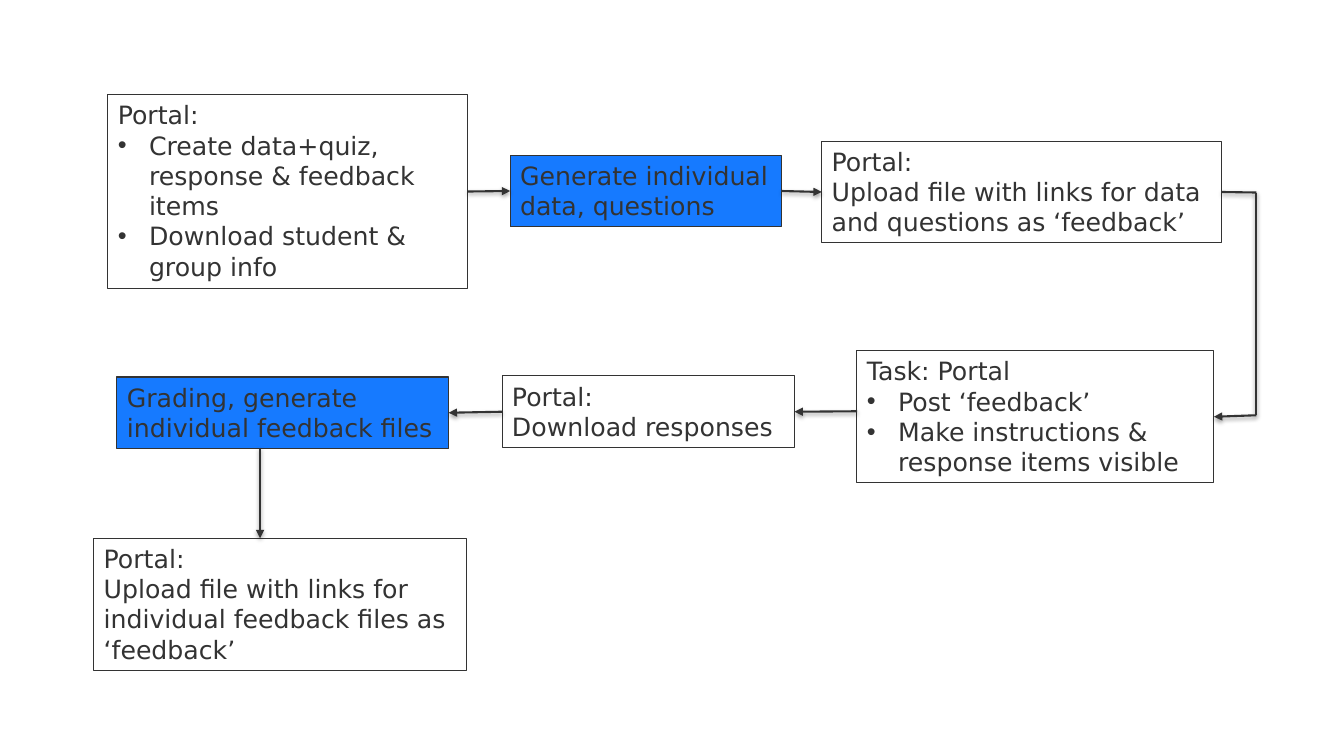
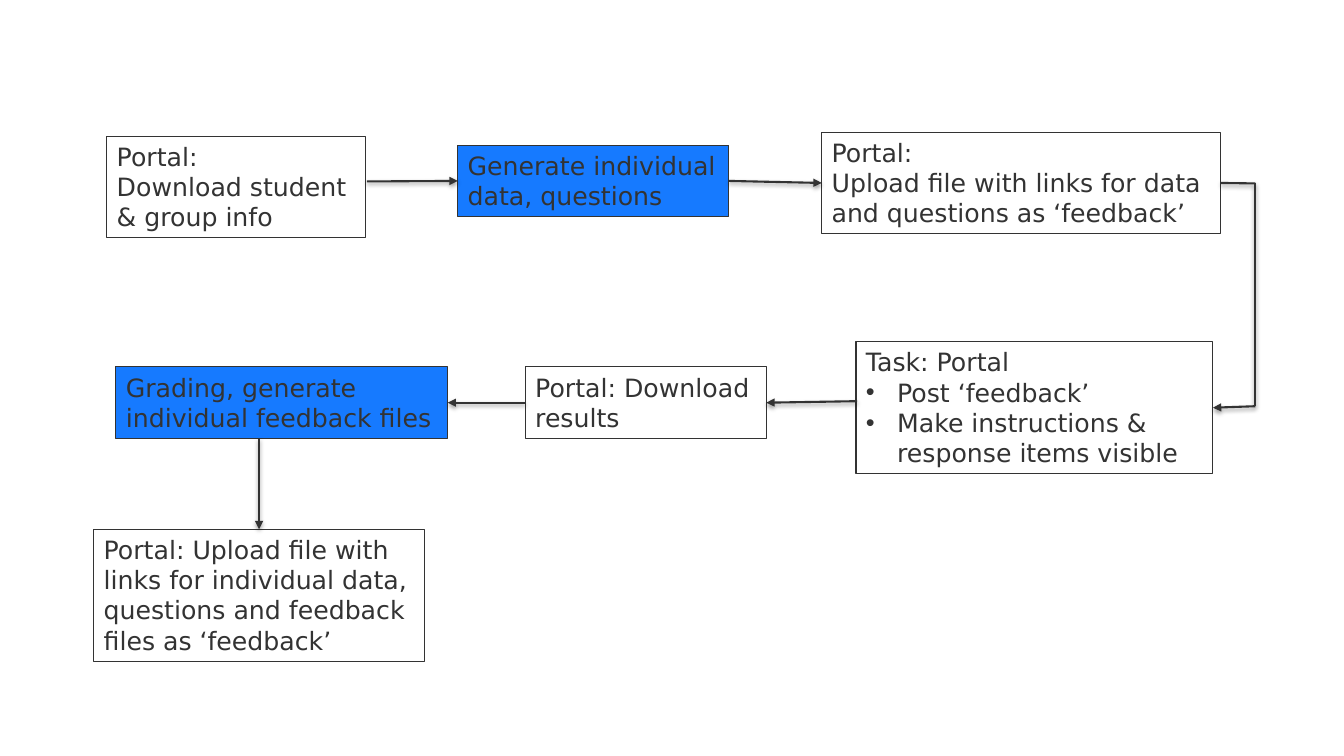
"""Build two flow charts of the quiz and feedback workflow."""
from lxml import etree
from pptx import Presentation
from pptx.dml.color import RGBColor
from pptx.enum.shapes import MSO_CONNECTOR
from pptx.enum.text import MSO_ANCHOR, MSO_AUTO_SIZE
from pptx.oxml import parse_xml
from pptx.oxml.ns import nsdecls, qn
from pptx.util import Inches, Pt

STRAIGHT = MSO_CONNECTOR.STRAIGHT
TOP = MSO_ANCHOR.TOP
GROW = MSO_AUTO_SIZE.SHAPE_TO_FIT_TEXT
LEFT, RIGHT = 1, 3


class Theme:
    font = "DejaVu Sans"
    size = Pt(18)
    ink = RGBColor(0x33, 0x33, 0x33)
    accent = RGBColor(0x16, 0x7A, 0xFF)
    border = Pt(0.75)
    arrow = Pt(1.5)
    indent = Inches(0.31)
    shadow = (
        f'<a:effectLst {nsdecls("a")}>'
        '<a:outerShdw blurRad="39370" dist="20320" dir="5400000" rotWithShape="0">'
        '<a:srgbClr val="000000"><a:alpha val="38000"/></a:srgbClr>'
        '</a:outerShdw></a:effectLst>'
    )


def add_box(s, left, top, width, height, lines, filled):
    box = s.shapes.add_textbox(Inches(left), Inches(top), Inches(width), Inches(height))
    box.line.color.rgb = Theme.ink
    box.line.width = Theme.border
    if filled:
        box.fill.solid()
        box.fill.fore_color.rgb = Theme.accent
    tf = box.text_frame
    tf.word_wrap = True
    tf.auto_size = GROW
    tf.vertical_anchor = TOP
    for i, line in enumerate(lines):
        p = tf.paragraphs[0] if i == 0 else tf.add_paragraph()
        if line.startswith("•"):
            pPr = p._p.get_or_add_pPr()
            pPr.set("marL", str(Theme.indent))
            pPr.set("indent", str(-Theme.indent))
            etree.SubElement(pPr, qn("a:buFont")).set("typeface", "Arial")
            etree.SubElement(pPr, qn("a:buChar")).set("char", "•")
        r = p.add_run()
        r.text = line.lstrip("• ")
        r.font.name = Theme.font
        r.font.size = Theme.size
        r.font.color.rgb = Theme.ink
    return box


def add_line(s, boxes, start, end, arrow=True):
    free = [(0, 0) if isinstance(point[0], str) else point for point in (start, end)]
    line = s.shapes.add_connector(STRAIGHT, *[Inches(v) for point in free for v in point])
    if isinstance(start[0], str):
        line.begin_connect(boxes[start[0]], start[1])
    if isinstance(end[0], str):
        line.end_connect(boxes[end[0]], end[1])
    line.line.color.rgb = Theme.ink
    line.line.width = Theme.arrow
    if arrow:
        etree.SubElement(line.line._get_or_add_ln(), qn("a:tailEnd")).set("type", "triangle")
    line._element.spPr.append(parse_xml(Theme.shadow))


generate_text = ["Generate individual data, questions"]
links_text = ["Portal:", "Upload file with links for data and questions as ‘feedback’"]
task_text = ["Task: Portal", "• Post ‘feedback’", "• Make instructions & response items visible"]
grading_text = ["Grading, generate individual feedback files"]
filled_steps = {"generate", "grading"}

flows = [
    {
        "boxes": {
            "prepare": (1.07, 0.94, 3.57, 1.92, [
                "Portal:",
                "• Create data+quiz, response & feedback items",
                "• Download student & group info",
            ]),
            "generate": (5.06, 1.54, 2.69, 0.71, generate_text),
            "links": (8.15, 1.4, 3.97, 1.01, links_text),
            "task": (8.5, 3.48, 3.54, 1.31, task_text),
            "download": (4.98, 3.73, 2.9, 0.71, ["Portal:", "Download responses"]),
            "grading": (1.16, 3.74, 3.29, 0.71, grading_text),
            "feedback": (0.93, 5.34, 3.7, 1.31, [
                "Portal:",
                "Upload file with links for individual feedback files as ‘feedback’",
            ]),
        },
        "arrows": [
            (("prepare", RIGHT), ("generate", LEFT)),
            ((8.5, 4.08), ("download", RIGHT)),
            ((2.58, 4.44), (2.58, 5.34)),
        ],
        "turn": [(12.46, 1.91), (12.46, 4.12)],
    },
    {
        "boxes": {
            "prepare": (1.06, 1.35, 2.57, 1.01, ["Portal:", "Download student & group info"]),
            "generate": (4.54, 1.44, 2.69, 0.71, generate_text),
            "links": (8.15, 1.31, 3.96, 1.01, links_text),
            "task": (8.49, 3.39, 3.54, 1.31, task_text),
            "download": (5.21, 3.64, 2.39, 0.71, ["Portal: Download results"]),
            "grading": (1.15, 3.64, 3.29, 0.71, grading_text),
            "feedback": (0.93, 5.25, 3.28, 1.31, [
                "Portal: Upload file with links for individual data, "
                "questions and feedback files as ‘feedback’",
            ]),
        },
        "arrows": [
            ((3.64, 1.8), ("generate", LEFT)),
            ((8.5, 3.98), ("download", RIGHT)),
            ((2.57, 4.35), (2.57, 5.25)),
        ],
        "turn": [(12.45, 1.82), (12.45, 4.03)],
    },
]
shared_arrows = [
    (("generate", RIGHT), ("links", LEFT)),
    (("download", LEFT), ("grading", RIGHT)),
]

prs = Presentation()
prs.slide_width = Inches(13.33)
prs.slide_height = Inches(7.5)

for flow in flows:
    s = prs.slides.add_slide(prs.slide_layouts[6])
    boxes = {
        name: add_box(s, *box, name in filled_steps) for name, box in flow["boxes"].items()
    }
    for start, end in flow["arrows"] + shared_arrows:
        add_line(s, boxes, start, end)
    upper, lower = flow["turn"]
    add_line(s, boxes, ("links", RIGHT), upper, arrow=False)
    add_line(s, boxes, upper, lower, arrow=False)
    add_line(s, boxes, lower, ("task", RIGHT))

prs.save("out.pptx")
